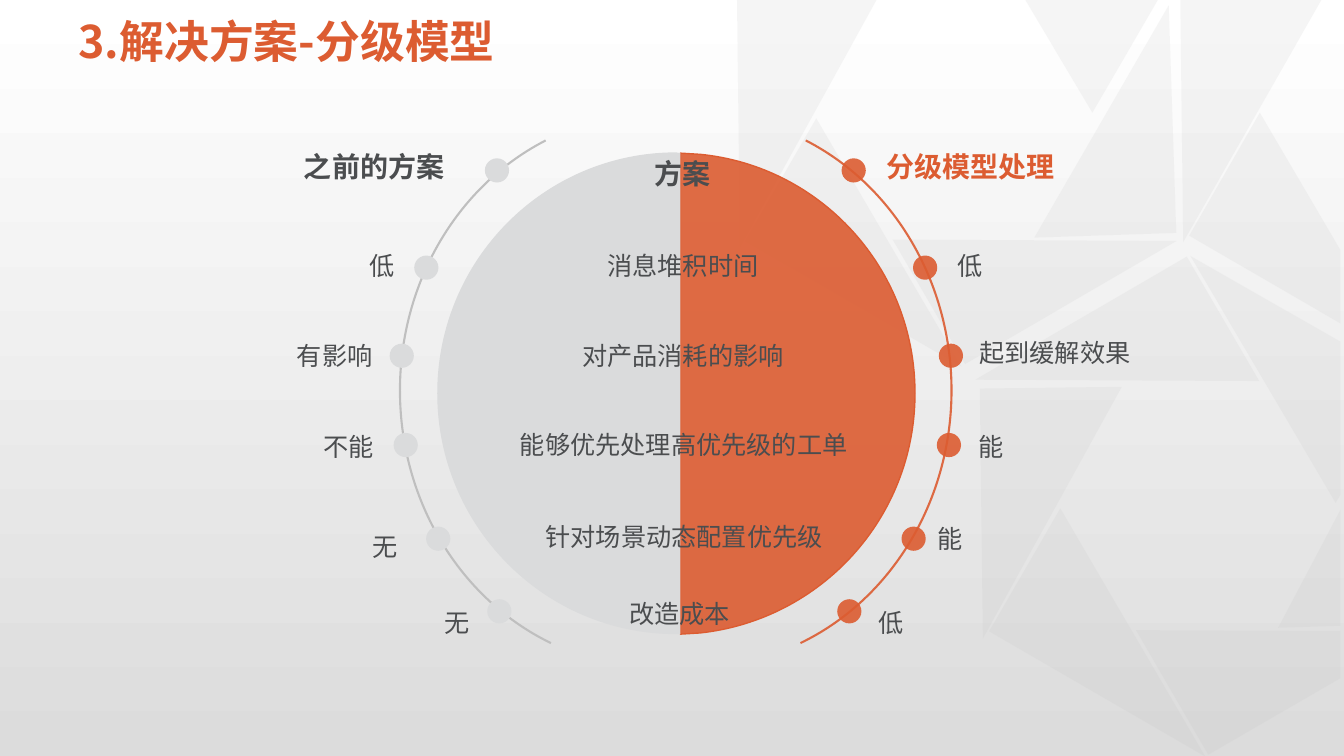
"""Builds the slide that compares the earlier scheme with the graded model."""
from lxml.etree import SubElement
from pptx import Presentation
from pptx.dml.color import RGBColor
from pptx.enum.shapes import MSO_SHAPE
from pptx.enum.text import MSO_AUTO_SIZE, PP_ALIGN
from pptx.oxml.ns import qn
from pptx.util import Cm, Pt

ORANGE = RGBColor(0xDC, 0x5C, 0x31)
SILVER = RGBColor(0xDA, 0xDB, 0xDC)
GRAY = RGBColor(0xBF, 0xBF, 0xBF)
DARK = RGBColor(0x4B, 0x4D, 0x4F)
PALE = RGBColor(0xDC, 0xDC, 0xDC)
WHITE = RGBColor(0xFF, 0xFF, 0xFF)


def paint(shape, color, alpha=100):
    shape.shadow.inherit = False
    shape.line.fill.background()
    shape.fill.solid()
    shape.fill.fore_color.rgb = color
    if alpha < 100:
        tint = shape.fill._xPr.find(qn("a:solidFill"))[0]
        SubElement(tint, qn("a:alpha"), val=str(alpha * 1000))


def write(text, left, top, width, height, size, color, bold, font="Arial"):
    box = slide.shapes.add_textbox(Cm(left), Cm(top), Cm(width), Cm(height))
    frame = box.text_frame
    frame.text = text
    run = frame.paragraphs[0].runs[0]
    run.font.size = Pt(size)
    run.font.bold = bold
    run.font.color.rgb = color
    run.font.name = font
    return frame


deck = Presentation()
deck.slide_width, deck.slide_height = Cm(33.87), Cm(19.05)
slide = deck.slides.add_slide(deck.slide_layouts[6])
shapes = slide.shapes

back = shapes.add_shape(MSO_SHAPE.RECTANGLE, 0, 0, deck.slide_width, deck.slide_height)
paint(back, WHITE)
back.fill.gradient()
back.fill.gradient_angle = 90
for stop, color, place in zip(back.fill.gradient_stops, (PALE, WHITE), (0, 1)):
    stop.color.rgb = color
    stop.position = place

facets = [
    (25.07, 7.77, 6.17, 3.63, 149.8),
    (23.37, 11.13, 6.3, 3.58, 89.3),
    (25.4, 14.15, 6.3, 3.58, 30.1),
    (28.52, 1.24, 6.1, 3.58, 89.3),
    (17.25, 1.27, 6.3, 3.58, 89.3),
    (19.25, 4.32, 6.3, 3.58, 30.1),
    (22.99, 4.24, 6.17, 3.63, 329.8),
    (24.89, 1.27, 5.74, 3.58, 268.1),
]
for left, top, width, height, turn in facets:
    facet = shapes.add_shape(MSO_SHAPE.RIGHT_TRIANGLE, Cm(left), Cm(top), Cm(width), Cm(height))
    facet.rotation = turn
    paint(facet, GRAY, 14)

shards = [
    [(28.63, 15.88), (33.78, 15.9), (33.78, 17.09), (30.45, 19.02)],
    [(33.78, 12.85), (33.78, 15.77), (32.21, 15.82)],
    [(30, 6.45), (33.78, 8.61), (33.78, 12.47), (33.66, 12.67)],
    [(31.75, 2.84), (33.78, 6.3), (33.78, 8.15), (29.97, 5.94)],
    [(25.84, 0), (29.18, 0), (27.53, 2.84)],
]
right_half = [
    (17.15, 3.86), (17.65, 3.89),
    (20.68, 4.19), (23.06, 6.76), (23.06, 9.91),
    (23.06, 13.06), (20.68, 15.62), (17.65, 15.95),
    (17.15, 15.98),
]
left_half = [
    (17.04, 3.84), (17.15, 3.86), (17.15, 15.98), (17.04, 15.98),
    (13.72, 15.98), (11.02, 13.26), (11.02, 9.91),
    (11.02, 6.55), (13.72, 3.84), (17.04, 3.84),
]
outlines = [(shard, (), GRAY, 14) for shard in shards]
outlines += [(right_half, (1, 4), ORANGE, 90), (left_half, (3, 6), SILVER, 100)]
for points, bends, color, alpha in outlines:
    spots = [(Cm(x), Cm(y)) for x, y in points]
    form = shapes.build_freeform(*spots[0])
    form.add_line_segments(spots[1:], close=True)
    area = form.convert_to_shape()
    paint(area, color, alpha)
    lines = list(area._element.iter(qn("a:lnTo")))
    for bend in bends:
        curve = SubElement(lines[bend].getparent(), qn("a:cubicBezTo"))
        lines[bend].addprevious(curve)
        for line in lines[bend:bend + 3]:
            curve.append(line[0])
            line.getparent().remove(line)
    if color == ORANGE:
        area.line.color.rgb = ORANGE
        area.line.width = Pt(1)

levels = [3.99, 6.44, 8.66, 10.91, 13.27, 15.1]
sides = [
    (11.2, 176, 40.74, ORANGE, ORANGE, 90, [21.21, 23.01, 23.66, 23.61, 22.72, 21.1]),
    (10.08, 67.26, 148, GRAY, SILVER, 100, [12.22, 10.44, 9.82, 9.92, 10.74, 12.28]),
]
for left, start, end, stroke, color, alpha, columns in sides:
    arc = shapes.add_shape(MSO_SHAPE.ARC, Cm(left), Cm(2.88), Cm(12.78), Cm(13.92))
    arc.adjustments[0], arc.adjustments[1] = start, end
    arc.shadow.inherit = False
    arc.fill.background()
    arc.line.color.rgb = stroke
    arc.line.width = Pt(1.5)
    if alpha < 100:
        tint = arc.line.fill._xPr.find(qn("a:solidFill"))[0]
        SubElement(tint, qn("a:alpha"), val=str(alpha * 1000))
    for x, y in zip(columns, levels):
        dot = shapes.add_shape(MSO_SHAPE.OVAL, Cm(x), Cm(y), Cm(0.61), Cm(0.61))
        paint(dot, color, alpha)

rows = [
    [("之前的方案", 7.41, 3.65), ("方案", 17.2, 3.81), ("分级模型处理", 22.09, 3.65)],
    [("低", 9.07, 6.18), ("消息堆积时间", 17.21, 6.18), ("低", 23.88, 6.18)],
    [("有影响", 7.23, 8.44), ("对产品消耗的影响", 17.21, 8.44), ("起到缓解效果", 24.43, 8.38)],
    [("不能", 7.9, 10.74), ("能够优先处理高优先级的工单", 17.23, 10.69), ("能", 24.41, 10.74)],
    [("无", 9.14, 13.27), ("针对场景动态配置优先级", 17.24, 13), ("能", 23.37, 13.06)],
    [("无", 10.94, 15.17), ("改造成本", 17.13, 14.96), ("低", 21.9, 15.17)],
]
for index, row in enumerate(rows):
    head = index == 0
    size, height = (20, 1.12) if head else (18, 1.02)
    for column, (text, left, top) in enumerate(row):
        width = len(text) * size * 2.54 / 72 + 0.51
        if column == 1:
            left -= width / 2
        color = ORANGE if head and column == 2 else DARK
        frame = write(text, left, top, width, height, size, color, head)
        frame.word_wrap = False
        frame.auto_size = MSO_AUTO_SIZE.SHAPE_TO_FIT_TEXT
        if column == 1 or head and column == 0:
            frame.paragraphs[0].alignment = PP_ALIGN.CENTER

title = write("3.解决方案-分级模型", 1.73, 0.38, 30.43, 2.21, 32, ORANGE, True, "Noto Sans CJK SC")
title.word_wrap = True
title.paragraphs[0].line_spacing = 0.9

deck.save("out.pptx")
